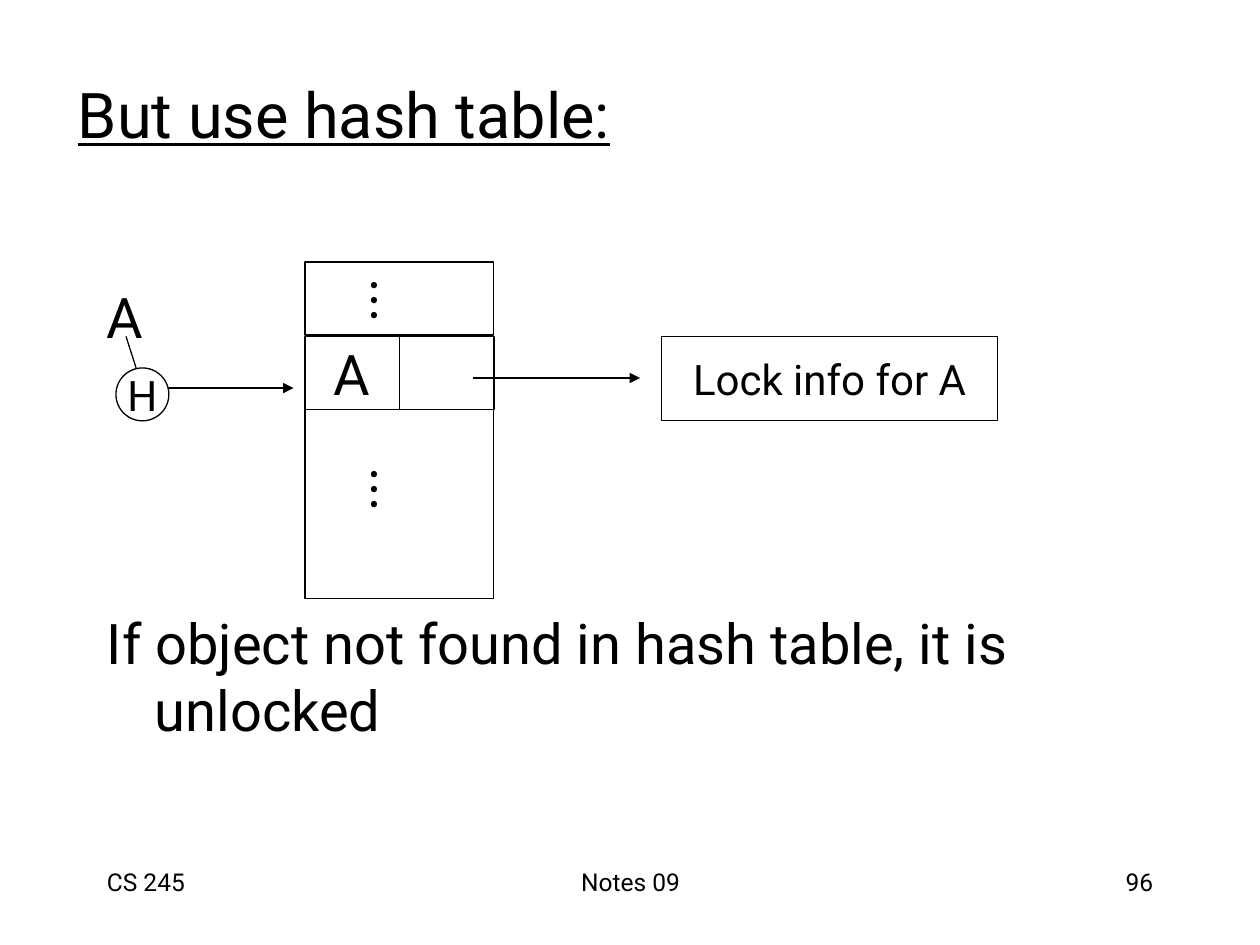
from lxml import etree
from pptx import Presentation
from pptx.dml.color import RGBColor
from pptx.enum.shapes import MSO_CONNECTOR, MSO_SHAPE
from pptx.enum.text import MSO_ANCHOR, PP_ALIGN
from pptx.oxml.ns import qn
from pptx.util import Inches, Pt

BLACK = RGBColor(0x00, 0x00, 0x00)
WHITE = RGBColor(0xFF, 0xFF, 0xFF)
LEFT, CENTER, RIGHT = PP_ALIGN.LEFT, PP_ALIGN.CENTER, PP_ALIGN.RIGHT
TOP, MIDDLE = MSO_ANCHOR.TOP, MSO_ANCHOR.MIDDLE
RECTANGLE, OVAL = MSO_SHAPE.RECTANGLE, MSO_SHAPE.OVAL
STRAIGHT = MSO_CONNECTOR.STRAIGHT

FONT = "Roboto"
LINE_WIDTH = Pt(0.75)
FOOTER_SIZE, LABEL_SIZE, BODY_SIZE, TITLE_SIZE = 14, 24, 32, 36


def write_text(shape, text, size=BODY_SIZE, align=LEFT, anchor=TOP,
               wrap=True, underline=False, hanging=0):
    frame = shape.text_frame
    frame.word_wrap = wrap
    frame.vertical_anchor = anchor
    paragraph = frame.paragraphs[0]
    paragraph.alignment = align
    if hanging:
        properties = paragraph._p.get_or_add_pPr()
        properties.set("marL", str(Inches(hanging)))
        properties.set("indent", str(-Inches(hanging)))
    run = paragraph.add_run()
    run.text = text
    run.font.name = FONT
    run.font.size = Pt(size)
    run.font.color.rgb = BLACK
    run.font.underline = underline


class DiagramSlide:
    """Draws thin black outlines and text on one slide."""

    def __init__(self, slide):
        self.shapes = slide.shapes

    def text(self, text, left, top, width, height, rotation=0, **text_format):
        box = self.shapes.add_textbox(
            Inches(left), Inches(top), Inches(width), Inches(height))
        box.rotation = rotation
        write_text(box, text, **text_format)

    def node(self, left, top, width, height, text="", kind=RECTANGLE,
             size=LABEL_SIZE):
        shape = self.shapes.add_shape(
            kind, Inches(left), Inches(top), Inches(width), Inches(height))
        shape.shadow.inherit = False
        shape.fill.solid()
        shape.fill.fore_color.rgb = WHITE
        shape.line.color.rgb = BLACK
        shape.line.width = LINE_WIDTH
        if text:
            write_text(shape, text, size=size, align=CENTER, anchor=MIDDLE,
                       wrap=False)

    def line(self, start, end, arrow=False):
        connector = self.shapes.add_connector(
            STRAIGHT, *(Inches(value) for value in (*start, *end)))
        connector.line.color.rgb = BLACK
        connector.line.width = LINE_WIDTH
        properties = connector._element.spPr
        if arrow:
            outline = connector.line._get_or_add_ln()
            etree.SubElement(outline, qn("a:tailEnd"), type="triangle")
        etree.SubElement(properties, qn("a:effectLst"))


def draw_hash_table(diagram):
    left, top, width = 2.42, 2.08, 1.5
    entry_top, bottom_top = 2.67, 3.25
    row_height, cell_width = bottom_top - entry_top, width / 2

    diagram.node(left, top, width, row_height)
    diagram.node(left, entry_top, cell_width, row_height, "A", size=BODY_SIZE)
    diagram.node(left + cell_width, entry_top, cell_width, row_height)
    diagram.node(left, bottom_top, width, 1.5)
    for dots_top in (2.07, 3.57):
        diagram.text("...", 2.82, dots_top, 0.61, 0.64, rotation=90,
                     align=CENTER, anchor=MIDDLE)


def main():
    presentation = Presentation()
    presentation.slide_width = Inches(10)
    presentation.slide_height = Inches(7.5)
    slide = presentation.slides.add_slide(presentation.slide_layouts[6])
    diagram = DiagramSlide(slide)

    diagram.text("But use hash table:", 0.52, 0.37, 8.5, 1.05,
                 size=TITLE_SIZE, anchor=MIDDLE, underline=True)
    diagram.text("A", 0.75, 2.19, 0.6, 0.6)
    diagram.text("If object not found in hash table, it is unlocked",
                 0.75, 4.78, 8.5, 1.2, hanging=0.38)

    diagram.node(5.25, 2.67, 2.67, 0.67, "Lock info for A")
    draw_hash_table(diagram)
    diagram.node(0.92, 2.92, 0.42, 0.42, "H", kind=OVAL)
    diagram.line((1, 2.67), (1.08, 2.92))
    diagram.line((1.33, 3.08), (2.33, 3.08), arrow=True)
    diagram.line((3.75, 3), (5.08, 3), arrow=True)

    for text, left, width, align in (("CS 245", 0.75, 2.08, LEFT),
                                     ("Notes 09", 3.42, 3.17, CENTER),
                                     ("96", 7.17, 2.08, RIGHT)):
        diagram.text(text, left, 6.83, width, 0.5, size=FOOTER_SIZE,
                     align=align)

    presentation.save("out.pptx")


if __name__ == "__main__":
    main()
